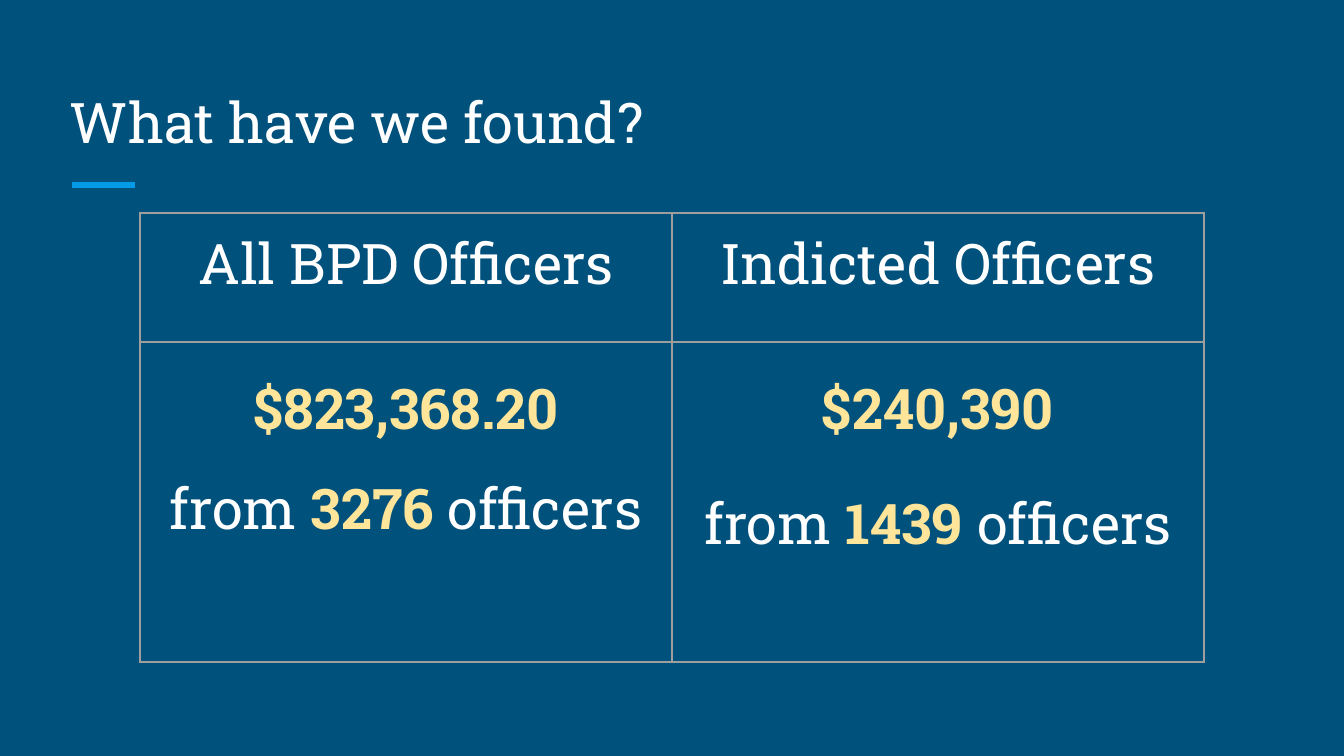
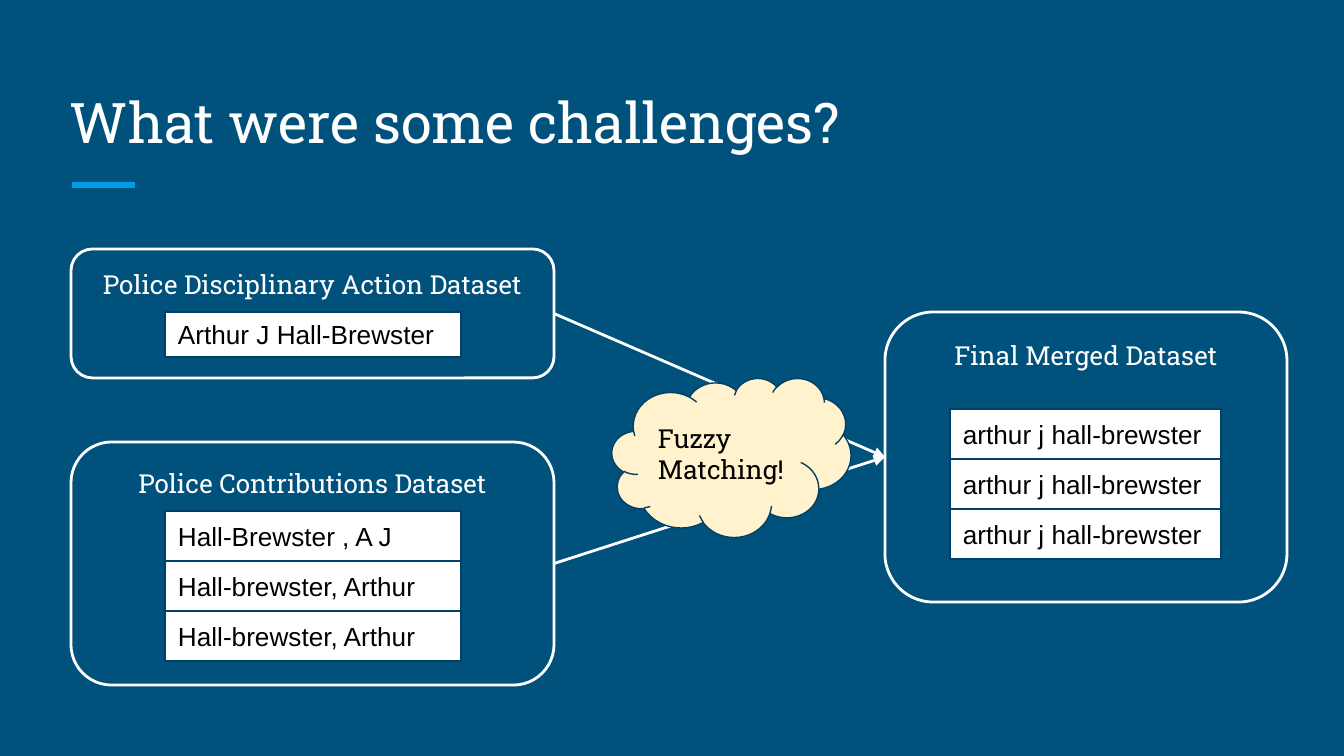
from lxml.etree import SubElement
from pptx import Presentation
from pptx.dml.color import RGBColor
from pptx.enum.shapes import MSO_CONNECTOR, MSO_SHAPE
from pptx.enum.text import MSO_ANCHOR, MSO_AUTO_SIZE, PP_ALIGN
from pptx.oxml import parse_xml
from pptx.oxml.ns import nsdecls, qn
from pptx.util import Pt

PX = 6804  # EMU in one px, 134.4 px to the inch
INSET = 13 * PX
SERIF = "Roboto Slab"
WHITE, BLACK = "FFFFFF", "000000"
NAVY, DARK_NAVY, ACCENT = "00517C", "004065", "039BE5"
GOLD, CREAM, GREY = "FFE599", "FFF2CC", "9E9E9E"
rgb = RGBColor.from_string


def set_font(run, size, color, name=SERIF, bold=False):
    run.font.size = Pt(size)
    run.font.name = name
    run.font.bold = bold
    run.font.color.rgb = rgb(color)


def add_box(slide, preset, box, text, fill=None, font=SERIF):
    """Add a filled, left-aligned box, or without fill a white outline with a heading."""
    shape = slide.shapes.add_shape(preset, *[value * PX for value in box])
    shape.shadow.inherit = False
    if fill:
        shape.fill.solid()
        shape.fill.fore_color.rgb = rgb(fill)
    else:
        shape.fill.background()
    shape.line.color.rgb = rgb(DARK_NAVY if fill else WHITE)
    shape.line.width = Pt(0.75 if fill else 1.5)
    frame = shape.text_frame
    frame.word_wrap = True
    frame.margin_left = frame.margin_right = INSET
    frame.margin_top = frame.margin_bottom = INSET
    frame.vertical_anchor = MSO_ANCHOR.MIDDLE if fill else MSO_ANCHOR.TOP
    frame.text = text
    paragraph = frame.paragraphs[0]
    paragraph.alignment = PP_ALIGN.LEFT if fill else PP_ALIGN.CENTER
    set_font(paragraph.runs[0], 14, BLACK if fill else WHITE, font)
    return shape


presentation = Presentation()
presentation.slide_width = 1344 * PX
presentation.slide_height = 756 * PX
background = presentation.slide_master.background.fill
background.solid()
background.fore_color.rgb = rgb(NAVY)

# Title and accent rule on both slides
slides = []
for heading in ("What have we found?", "What were some challenges?"):
    slide = presentation.slides.add_slide(presentation.slide_layouts[5])
    slides.append(slide)
    rule = slide.shapes.add_connector(
        MSO_CONNECTOR.STRAIGHT, 72 * PX, 185 * PX, 135 * PX, 185 * PX)
    rule.line.color.rgb = rgb(ACCENT)
    rule.line.width = Pt(3)
    SubElement(rule._element.spPr, qn("a:effectLst"))

    title = slide.shapes.title
    title.left, title.top, title.width, title.height = [
        value * PX for value in (57, 67, 1230, 101)]
    frame = title.text_frame
    frame.auto_size = MSO_AUTO_SIZE.NONE
    frame.margin_left = frame.margin_right = INSET
    frame.margin_top = frame.margin_bottom = INSET
    frame.vertical_anchor = MSO_ANCHOR.BOTTOM
    frame.text = heading
    frame.paragraphs[0].alignment = PP_ALIGN.LEFT
    set_font(frame.paragraphs[0].runs[0], 30, WHITE)

findings_slide, challenges_slide = slides

# Findings: each cell is a list of paragraphs, each paragraph a list of (text, highlighted)
findings = [
    [
        [[("All BPD Officers", False)]],
        [[("Indicted Officers", False)]],
    ],
    [
        [[("$823,368.20", True)],
         [("from ", False), ("3276 ", True), ("officers", False)]],
        [[("$240,390", True)],
         [("from ", False), ("1439 ", True), ("officers", False)]],
    ],
]
row_heights = (129, 320)
table = findings_slide.shapes.add_table(
    2, 2, 140 * PX, 213 * PX, 1064 * PX, sum(row_heights) * PX).table
table.first_row = table.horz_banding = False
for row_index, row in enumerate(findings):
    table.rows[row_index].height = row_heights[row_index] * PX
    for column_index, paragraphs in enumerate(row):
        cell = table.cell(row_index, column_index)
        cell.margin_left = cell.margin_right = INSET
        cell.margin_top = cell.margin_bottom = INSET
        for index, parts in enumerate(paragraphs):
            paragraph = (cell.text_frame.add_paragraph() if index
                         else cell.text_frame.paragraphs[0])
            paragraph.alignment = PP_ALIGN.CENTER
            if index:
                paragraph.space_before = Pt(14)
            if row_index and (index == 0 or column_index == 1):
                paragraph.line_spacing = 1.21
            for text, highlighted in parts:
                run = paragraph.add_run()
                run.text = text
                set_font(run, 30, GOLD if highlighted else WHITE, bold=highlighted)
        properties = cell._tc.get_or_add_tcPr()
        for side in ("lnL", "lnR", "lnT", "lnB"):
            properties.append(parse_xml(
                f'<a:{side} {nsdecls("a")} w="{Pt(0.75)}"><a:solidFill>'
                f'<a:srgbClr val="{GREY}"/></a:solidFill></a:{side}>'))
        cell.fill.background()

# Challenges: dataset cards, each with a stack of name records
datasets = [
    ("Police Disciplinary Action Dataset", (71, 249, 483, 129), (165, 312, 296, 45),
     ["Arthur J Hall-Brewster"]),
    ("Police Contributions Dataset", (71, 442, 483, 243), (165, 511, 296, 50),
     ["Hall-Brewster , A J", "Hall-brewster, Arthur", "Hall-brewster, Arthur"]),
    ("Final Merged Dataset", (885, 312, 402, 290), (950, 409, 271, 50),
     ["arthur j hall-brewster"] * 3),
]
cards = []
for name, card_box, (left, top, width, height), records in datasets:
    cards.append(add_box(challenges_slide, MSO_SHAPE.ROUNDED_RECTANGLE, card_box, name))
    for index, record in enumerate(records):
        record_box = (left, top + index * height, width, height)
        add_box(challenges_slide, MSO_SHAPE.RECTANGLE, record_box, record, WHITE, "Arial")

*source_cards, merged_card = cards
for source_card in source_cards:
    arrow = challenges_slide.shapes.add_connector(MSO_CONNECTOR.STRAIGHT, 0, 0, 0, 0)
    arrow.begin_connect(source_card, 3)
    arrow.end_connect(merged_card, 1)
    arrow.line.color.rgb = rgb(WHITE)
    arrow.line.width = Pt(1.5)
    SubElement(arrow.line._get_or_add_ln(), qn("a:tailEnd"), type="triangle")
    SubElement(arrow._element.spPr, qn("a:effectLst"))

add_box(challenges_slide, MSO_SHAPE.CLOUD, (612, 378, 239, 159), "Fuzzy Matching!", CREAM)

presentation.save("out.pptx")
